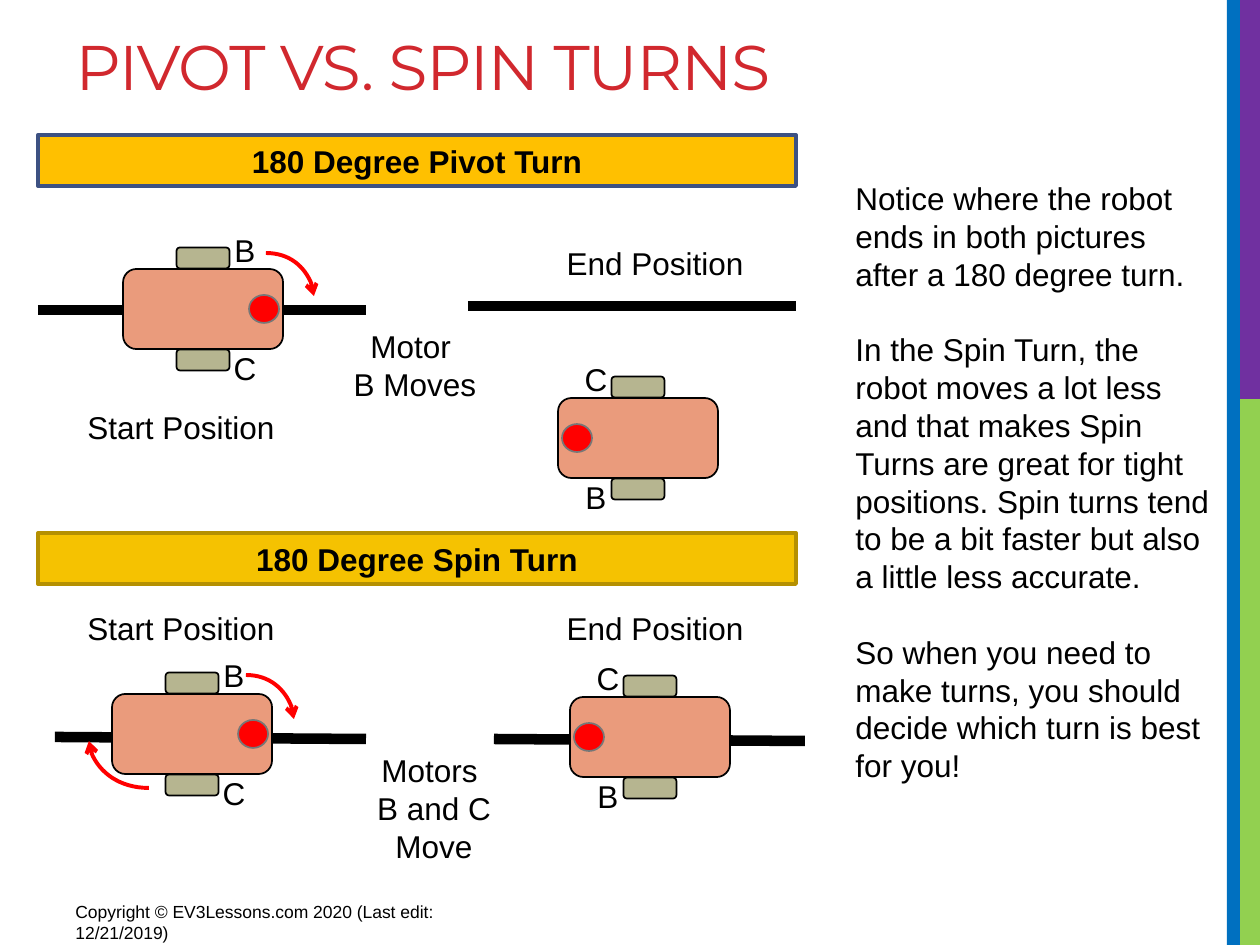
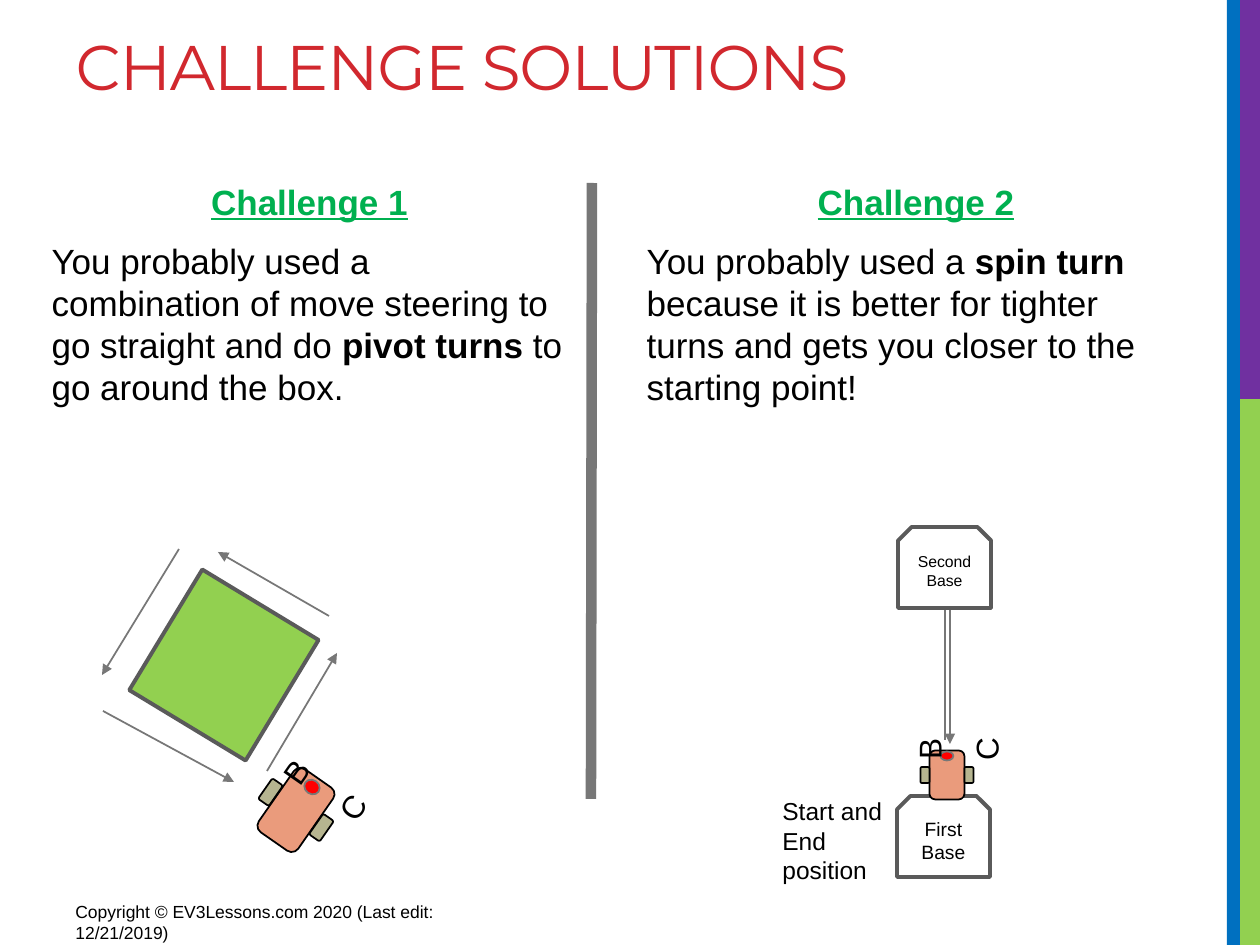
from dataclasses import dataclass
from math import cos, radians, sin

from lxml.etree import SubElement
from pptx import Presentation
from pptx.dml.color import RGBColor
from pptx.enum.shapes import MSO_CONNECTOR, MSO_SHAPE
from pptx.enum.text import MSO_ANCHOR, MSO_AUTO_SIZE, PP_ALIGN
from pptx.oxml.ns import qn
from pptx.util import Emu, Pt

EMU_PER_PX = 914400 / 126


@dataclass(frozen=True)
class Theme:
    title_font: str = "Montserrat"
    body_font: str = "Arial"
    title_size: int = 36
    challenge_size: int = 20
    text_size: int = 18
    caption_size: int = 14
    first_base_size: int = 11
    second_base_size: int = 9
    footer_size: int = 10
    title: str = "D1282E"
    ink: str = "000000"
    white: str = "FFFFFF"
    heading: str = "00B050"
    green: str = "92D050"
    purple: str = "7030A0"
    blue: str = "0070C0"
    gray: str = "777777"
    outline: str = "5A5A5A"
    red: str = "FF0000"
    robot: str = "EA9B7C"
    wheel: str = "B6B590"
    pivot_fill: str = "FFC000"
    pivot_line: str = "3D5182"
    spin_fill: str = "F5C201"
    spin_line: str = "B59001"


@dataclass(frozen=True)
class RobotSize:
    body: tuple
    wheel: tuple
    eye: tuple
    wheel_dx: int
    eye_dy: int
    b: tuple
    c: tuple


T = Theme()
LARGE = RobotSize((80, 160), (21, 53), (28, 30), 51, -61, (-59, -42), (59, -42))
MEDIUM = RobotSize((48, 77), (13, 25), (16, 14), 31, -28, (-22, -31), (44, -35))
SMALL = RobotSize((35, 49), (9, 16), (13, 9), 22, -19, (-18, -26), (39, -26))


def px(n):
    return Emu(round(n * EMU_PER_PX))


def place(s, box):
    s.left, s.top, s.width, s.height = [px(n) for n in box]


def centered(x, y, size):
    w, h = size
    return x - w / 2, y - h / 2, w, h


def add_run(p, text, size, color=T.ink, bold=False, underline=False, font=T.body_font):
    r = p.add_run()
    r.text = text
    r.font.name = font
    r.font.size = Pt(size)
    r.font.bold = bold
    r.font.underline = underline
    r.font.color.rgb = RGBColor.from_string(color)
    return r


def fill_text(s, lines, size, align=PP_ALIGN.LEFT, anchor=MSO_ANCHOR.TOP, bold=False, gap=0):
    tf = s.text_frame
    tf.word_wrap = True
    tf.vertical_anchor = anchor
    for i, line in enumerate(lines):
        p = tf.add_paragraph() if i else tf.paragraphs[0]
        p.alignment = align
        if i and gap:
            p.space_before = Pt(gap)
        add_run(p, line, size, bold=bold)


def add_text(slide, box, lines, size=T.text_size, align=PP_ALIGN.LEFT, gap=0):
    s = slide.shapes.add_textbox(*[px(n) for n in box])
    fill_text(s, lines, size, align, gap=gap)


def add_block(slide, kind, box, fill, line=None, weight=1, rotation=0):
    s = slide.shapes.add_shape(kind, *[px(n) for n in box])
    s.shadow.inherit = False
    s.fill.solid()
    s.fill.fore_color.rgb = RGBColor.from_string(fill)
    if line:
        s.line.color.rgb = RGBColor.from_string(line)
        s.line.width = Pt(weight)
    else:
        s.line.fill.background()
    s.rotation = rotation
    return s


def add_line(slide, start, end, color, weight, head=None, kind=MSO_CONNECTOR.STRAIGHT):
    s = slide.shapes.add_connector(kind, *[px(n) for n in (*start, *end)])
    s.line.color.rgb = RGBColor.from_string(color)
    s.line.width = Pt(weight)
    spPr = s._element.spPr
    if head:
        SubElement(spPr.find(qn("a:ln")), qn("a:tailEnd"), type=head)
    SubElement(spPr, qn("a:effectLst"))
    return s


def add_turn_arrow(slide, start, end):
    s = add_line(slide, start, end, T.red, 2.25, "arrow", MSO_CONNECTOR.CURVE)
    s._element.spPr.find(qn("a:prstGeom")).set("prst", "curvedConnector2")


def add_letter(slide, x, y, letter, rotation):
    s = slide.shapes.add_textbox(*[px(n) for n in centered(x, y, (40, 40))])
    tf = s.text_frame
    tf.margin_left = tf.margin_right = tf.margin_top = tf.margin_bottom = 0
    fill_text(s, [letter], T.text_size, PP_ALIGN.CENTER, MSO_ANCHOR.MIDDLE)
    s.rotation = rotation


def add_robot(slide, x, y, heading, size, letter_rotation):
    a = radians(heading)

    def at(dx, dy):
        return x + dx * cos(a) - dy * sin(a), y + dx * sin(a) + dy * cos(a)

    parts = [
        (MSO_SHAPE.ROUNDED_RECTANGLE, (0, 0), size.body, T.robot, T.ink),
        (MSO_SHAPE.ROUNDED_RECTANGLE, (size.wheel_dx, 0), size.wheel, T.wheel, T.ink),
        (MSO_SHAPE.ROUNDED_RECTANGLE, (-size.wheel_dx, 0), size.wheel, T.wheel, T.ink),
        (MSO_SHAPE.OVAL, (0, size.eye_dy), size.eye, T.red, T.gray),
    ]
    for kind, offset, extent, fill, line in parts:
        add_block(slide, kind, centered(*at(*offset), extent), fill, line, rotation=heading)
    for letter, offset in (("B", size.b), ("C", size.c)):
        add_letter(slide, *at(*offset), letter, letter_rotation)


def add_banner(slide, top, text, fill, line):
    s = add_block(slide, MSO_SHAPE.RECTANGLE, (38, top, 758, 51), fill, line, 2.25)
    fill_text(s, [text], T.text_size, PP_ALIGN.CENTER, MSO_ANCHOR.MIDDLE, bold=True)


def add_base(slide, left, top, text, size):
    s = add_block(slide, MSO_SHAPE.SNIP_2_SAME_RECTANGLE, (left, top, 93, 81),
                  T.white, T.outline, 2.25)
    fill_text(s, [text], size, PP_ALIGN.CENTER, MSO_ANCHOR.MIDDLE)


def add_challenge(s, box, heading, runs):
    place(s, box)
    tf = s.text_frame
    tf.auto_size = MSO_AUTO_SIZE.NONE
    tf.vertical_anchor = MSO_ANCHOR.TOP
    p = tf.paragraphs[0]
    p.alignment = PP_ALIGN.CENTER
    add_run(p, heading, T.challenge_size, T.heading, True, True)
    p2 = tf.add_paragraph()
    p2.alignment = PP_ALIGN.LEFT
    for text, bold in runs:
        add_run(p2, text, T.challenge_size, bold=bold)
    for p in tf.paragraphs:
        pPr = p._p.get_or_add_pPr()
        pPr.set("marL", "0")
        pPr.set("indent", "0")
        SubElement(pPr, qn("a:buNone"))
        p.space_after = Pt(6)
    tf.paragraphs[0].space_before = Pt(0)
    p2.space_before = Pt(4)


def start_slide(prs, layout, title):
    slide = prs.slides.add_slide(prs.slide_layouts.get_by_name(layout))
    for box, color in (((1240, 399, 20, 546), T.green),
                       ((1235, 0, 25, 399), T.purple),
                       ((1227, 0, 13, 945), T.blue)):
        add_block(slide, MSO_SHAPE.RECTANGLE, box, color)
    s = slide.shapes.title
    place(s, (63, 21, 1137, 189))
    tf = s.text_frame
    tf.auto_size = MSO_AUTO_SIZE.NONE
    tf.vertical_anchor = MSO_ANCHOR.TOP
    p = tf.paragraphs[0]
    p.alignment = PP_ALIGN.LEFT
    r = add_run(p, title, T.title_size, T.title, font=T.title_font)
    r.font._element.set("spc", "-60")
    add_text(slide, (63, 895, 472, 39),
             ["Copyright © EV3Lessons.com 2020 (Last edit: 12/21/2019)"], T.footer_size)
    return slide


def build_turns(prs):
    slide = start_slide(prs, "Title Only", "PIVOT VS. SPIN TURNS")
    for start, end in (((38, 310), (366, 310)), ((468, 306), (796, 306)),
                       ((55, 737), (366, 739)), ((494, 739), (805, 741))):
        add_line(slide, start, end, T.ink, 6)
    add_banner(slide, 135, "180 Degree Pivot Turn", T.pivot_fill, T.pivot_line)
    add_banner(slide, 533, "180 Degree Spin Turn", T.spin_fill, T.spin_line)
    add_text(slide, (843, 173, 387, 624), [
        "Notice where the robot ends in both pictures after a 180 degree turn.",
        "In the Spin Turn, the robot moves a lot less and that makes Spin Turns are great "
        "for tight positions. Spin turns tend to be a bit faster but also a little less accurate.",
        "So when you need to make turns, you should decide which turn is best for you!",
    ], gap=21.6)
    for box, lines in (((63, 402, 236, 51), ["Start Position"]),
                       ((537, 238, 236, 51), ["End Position"]),
                       ((63, 603, 236, 51), ["Start Position"]),
                       ((537, 603, 236, 51), ["End Position"]),
                       ((323, 321, 184, 89), ["Motor ", "B Moves"]),
                       ((342, 745, 184, 127), ["Motors ", "B and C Move"])):
        add_text(slide, box, lines, align=PP_ALIGN.CENTER)
    for x, y, heading in ((203, 309, 90), (638, 438, 270), (192, 734, 90), (650, 737, 270)):
        add_robot(slide, x, y, heading, LARGE, 0)
    for start, end in (((266, 253), (314, 296)), ((246, 675), (294, 719)),
                       ((149, 788), (89, 741))):
        add_turn_arrow(slide, start, end)


def build_solutions(prs):
    slide = start_slide(prs, "Two Content", "CHALLENGE SOLUTIONS")
    left, right = list(slide.placeholders)[1:3]
    add_challenge(left, (39, 174, 541, 602), "Challenge 1", [
        ("You probably used a combination of move steering to go straight and do ", False),
        ("pivot turns", True), (" to go around the box.", False)])
    add_challenge(right, (634, 174, 564, 602), "Challenge 2", [
        ("You probably used a ", False), ("spin turn ", True),
        ("because it is better for tighter turns and gets you closer to the starting point!",
         False)])
    add_line(slide, (591, 799), (592, 183), T.gray, 6)

    add_block(slide, MSO_SHAPE.RECTANGLE, centered(224, 665, (141, 136)),
              T.green, T.outline, 2.25, 301.2)
    add_robot(slide, 296, 810, 34.9, MEDIUM, 304.9)
    for start, end in (((179, 549), (102, 675)), ((329, 616), (218, 552)),
                       ((267, 771), (337, 653)), ((103, 711), (234, 782)),
                       ((945, 740), (945, 593)), ((950, 607), (950, 744))):
        add_line(slide, start, end, T.gray, 1, "triangle")

    add_text(slide, (770, 790, 131, 102), ["Start and End position"], T.caption_size)
    add_base(slide, 897, 796, "First Base", T.first_base_size)
    add_robot(slide, 947, 775, 0, SMALL, 270)
    add_base(slide, 898, 527, "Second Base", T.second_base_size)


def main():
    prs = Presentation()
    prs.slide_width, prs.slide_height = px(1260), px(945)
    build_turns(prs)
    build_solutions(prs)
    prs.save("out.pptx")


if __name__ == "__main__":
    main()
